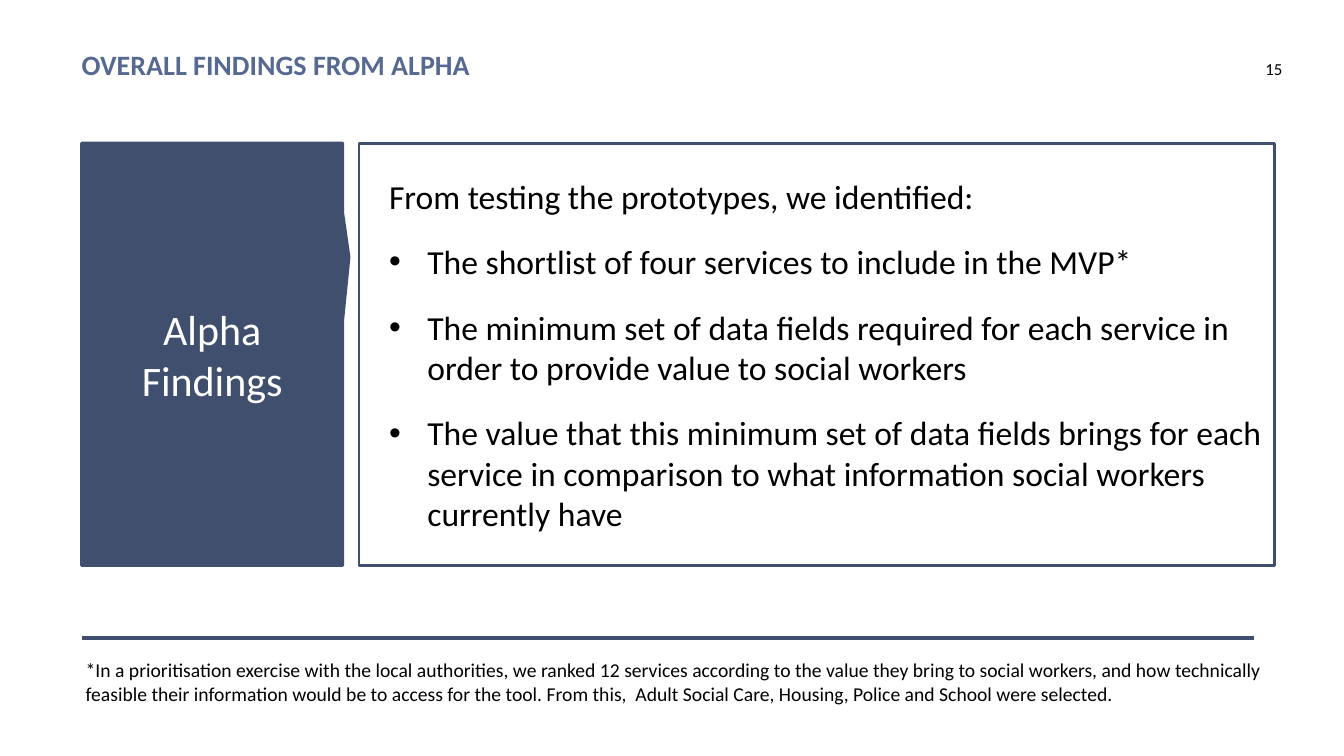
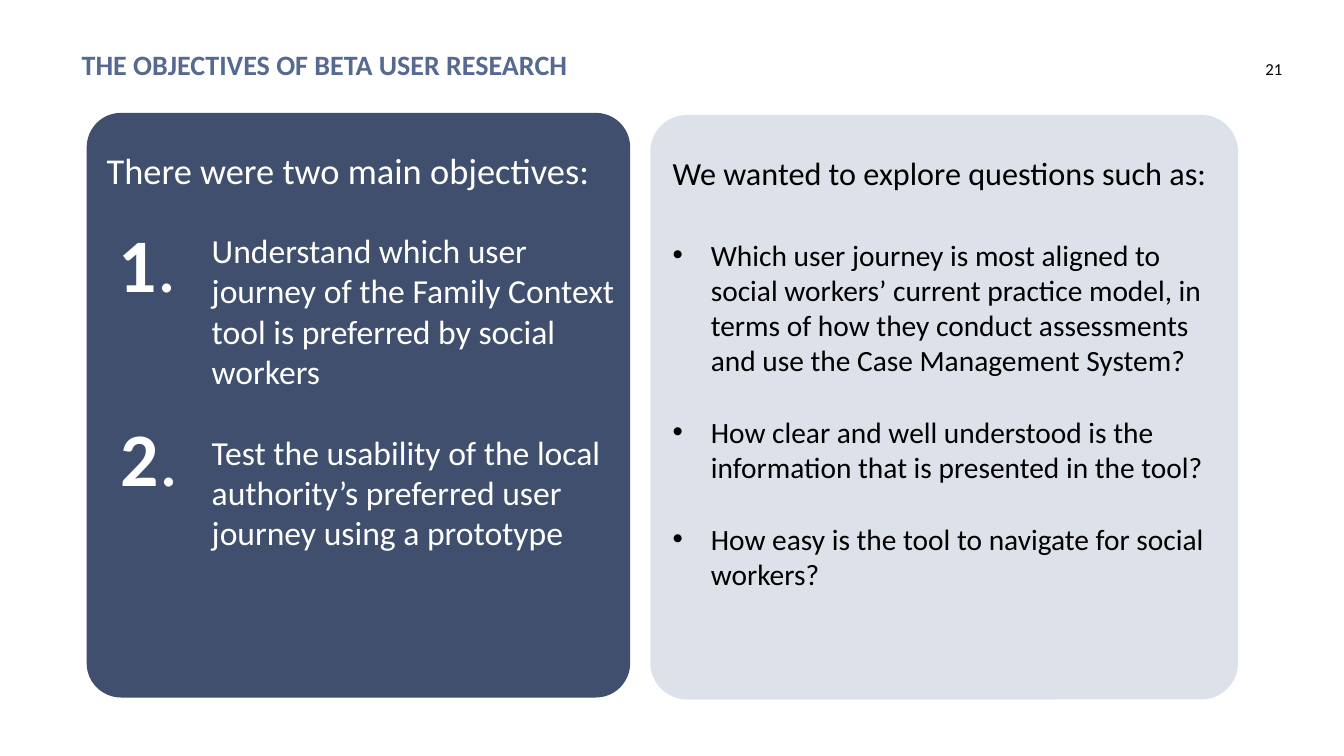
from pptx import Presentation
from pptx.dml.color import RGBColor
from pptx.enum.shapes import MSO_CONNECTOR, MSO_SHAPE
from pptx.enum.text import MSO_ANCHOR, MSO_AUTO_SIZE, PP_ALIGN
from pptx.oxml.ns import qn
from pptx.util import Inches, Pt
from lxml.etree import SubElement

FONT = "Calibri"
NAVY = RGBColor(0x40, 0x4F, 0x6D)
TITLE_BLUE = RGBColor(0x55, 0x69, 0x91)
PALE_BLUE = RGBColor(0xDC, 0xE1, 0xEA)
WHITE = RGBColor(0xFF, 0xFF, 0xFF)
BLACK = RGBColor(0, 0, 0)
LEFT = 0.81
HANGING = 0.38

FINDINGS = {
    "title": "OVERALL FINDINGS FROM ALPHA",
    "number": "15",
    "label": ["Alpha", "Findings"],
    "intro": "From testing the prototypes, we identified:",
    "bullets": [
        "The shortlist of four services to include in the MVP*",
        "The minimum set of data fields required for each service in order to provide value to social workers",
        "The value that this minimum set of data fields brings for each service in comparison to what information social workers currently have",
    ],
    "footnote": "*In a prioritisation exercise with the local authorities, we ranked 12 services according to the value they bring to social workers, and how technically feasible their information would be to access for the tool. From this,  Adult Social Care, Housing, Police and School were selected.",
}

OBJECTIVES = {
    "title": "THE OBJECTIVES OF BETA USER RESEARCH",
    "number": "21",
    "heading": "There were two main objectives:",
    "goals": [
        "Understand which user journey of the Family Context tool is preferred by social workers",
        "Test the usability of the local authority’s preferred user journey using a prototype",
    ],
    "markers": [("1", 1.18, 2.15), ("2", 1.2, 4.08)],
    "intro": "We wanted to explore questions such as:",
    "questions": [
        "Which user journey is most aligned to social workers’ current practice model, in terms of how they conduct assessments and use the Case Management System?",
        "How clear and well understood is the information that is presented in the tool?",
        "How easy is the tool to navigate for social workers?",
    ],
}


def add_run(paragraph, text, size, color, bold=False):
    run = paragraph.add_run()
    run.text = text
    run.font.name = FONT
    run.font.size = Pt(size)
    run.font.color.rgb = color
    run.font.bold = bold


def write(frame, text, size=24, color=BLACK, bold=False, align=PP_ALIGN.LEFT,
          before=0, after=0, margin=0, bullet=False):
    paragraph = frame.paragraphs[0]
    if paragraph.runs:
        paragraph = frame.add_paragraph()
    paragraph.alignment = align
    paragraph.space_before = Pt(before)
    paragraph.space_after = Pt(after)
    properties = paragraph._p.get_or_add_pPr()
    properties.set("marL", str(Inches(margin + HANGING * bullet)))
    properties.set("indent", str(Inches(-HANGING * bullet)))
    if bullet:
        SubElement(properties, qn("a:buFont")).set("typeface", "Arial")
        SubElement(properties, qn("a:buChar")).set("char", "•")
    add_run(paragraph, text, size, color, bold)
    return paragraph


def prepare_frame(frame, inset=0, anchor=MSO_ANCHOR.TOP):
    frame.word_wrap = True
    frame.auto_size = MSO_AUTO_SIZE.NONE
    frame.vertical_anchor = anchor
    frame.margin_left = frame.margin_right = Inches(inset)
    frame.margin_top = frame.margin_bottom = Inches(inset / 2)
    return frame


def add_text_box(slide, left, top, width, height):
    box = slide.shapes.add_textbox(Inches(left), Inches(top), Inches(width), Inches(height))
    return prepare_frame(box.text_frame)


def add_panel(slide, kind, left, top, width, height, adjustments=(), fill=None, outline=None):
    shape = slide.shapes.add_shape(kind, Inches(left), Inches(top), Inches(width), Inches(height))
    shape.shadow.inherit = False
    for index, value in enumerate(adjustments):
        shape.adjustments[index] = value
    if fill is None:
        shape.fill.background()
    else:
        shape.fill.solid()
        shape.fill.fore_color.rgb = fill
    if outline is None:
        shape.line.fill.background()
    else:
        shape.line.color.rgb = outline
        shape.line.width = Pt(2)
    return shape.text_frame


def add_rule(slide, left, right, top):
    rule = slide.shapes.add_connector(
        MSO_CONNECTOR.STRAIGHT, Inches(left), Inches(top), Inches(right), Inches(top))
    rule.line.color.rgb = NAVY
    rule.line.width = Pt(3)
    SubElement(rule._element.spPr, qn("a:effectLst"))


def add_titled_slide(presentation, content):
    slide = presentation.slides.add_slide(presentation.slide_layouts[5])
    title = slide.shapes.title
    title.left, title.top = Inches(LEFT), Inches(0.47)
    title.width, title.height = Inches(10.64), Inches(0.74)
    write(prepare_frame(title.text_frame), content["title"], size=20, color=TITLE_BLUE, bold=True)
    number = add_text_box(slide, 12.34, 0.58, 0.38, 0.4)
    write(number, content["number"], size=12, align=PP_ALIGN.RIGHT)
    return slide


def build_findings(presentation, content):
    slide = add_titled_slide(presentation, content)
    top, height = 1.42, 4.19
    panel = add_panel(slide, MSO_SHAPE.RECTANGLE, 3.56, top, 9.08, height, outline=NAVY)
    prepare_frame(panel, inset=0.1, anchor=MSO_ANCHOR.MIDDLE)
    write(panel, content["intro"], after=12, margin=0.2)
    for text in content["bullets"]:
        write(panel, text, before=6, after=12, margin=0.2, bullet=True)

    callout = add_panel(slide, MSO_SHAPE.RECTANGULAR_CALLOUT, LEFT, top, 2.59, height,
                        adjustments=(0.524, -0.23), fill=NAVY, outline=NAVY)
    prepare_frame(callout, inset=0.1, anchor=MSO_ANCHOR.MIDDLE)
    for text in content["label"]:
        write(callout, text, size=30, color=WHITE, align=PP_ALIGN.CENTER)

    write(add_text_box(slide, 0.85, 6.53, 11.79, 0.71), content["footnote"], size=14)
    add_rule(slide, LEFT, 12.44, 6.33)


def build_objectives(presentation, content):
    slide = add_titled_slide(presentation, content)
    card = add_panel(slide, MSO_SHAPE.ROUNDED_RECTANGLE, 0.86, 1.12, 5.39, 5.8,
                     adjustments=(0.063,), fill=NAVY)
    prepare_frame(card, inset=0.1)
    card.margin_top = Inches(0.25)
    write(card, content["heading"], size=26, color=WHITE)
    add_panel(slide, MSO_SHAPE.ROUNDED_RECTANGLE, 6.45, 1.14, 5.83, 5.8,
              adjustments=(0.063,), fill=PALE_BLUE)

    questions = add_text_box(slide, 6.67, 1.52, 5.45, 4.63)
    write(questions, content["intro"], size=23)
    for index, text in enumerate(content["questions"]):
        write(questions, text, size=21, before=26 if index else 32, bullet=True)

    goals = add_text_box(slide, 2.1, 2.28, 4.02, 3.47)
    for index, text in enumerate(content["goals"]):
        write(goals, text, color=WHITE, before=29 if index else 0)
    for digit, left, top in content["markers"]:
        marker = add_text_box(slide, left, top, 0.89, 0.91)
        paragraph = write(marker, digit, size=54, color=WHITE, bold=True)
        add_run(paragraph, ".", 54, WHITE)


def main():
    presentation = Presentation()
    presentation.slide_width = Inches(13.33)
    presentation.slide_height = Inches(7.5)
    build_findings(presentation, FINDINGS)
    build_objectives(presentation, OBJECTIVES)
    presentation.save("out.pptx")


if __name__ == "__main__":
    main()
